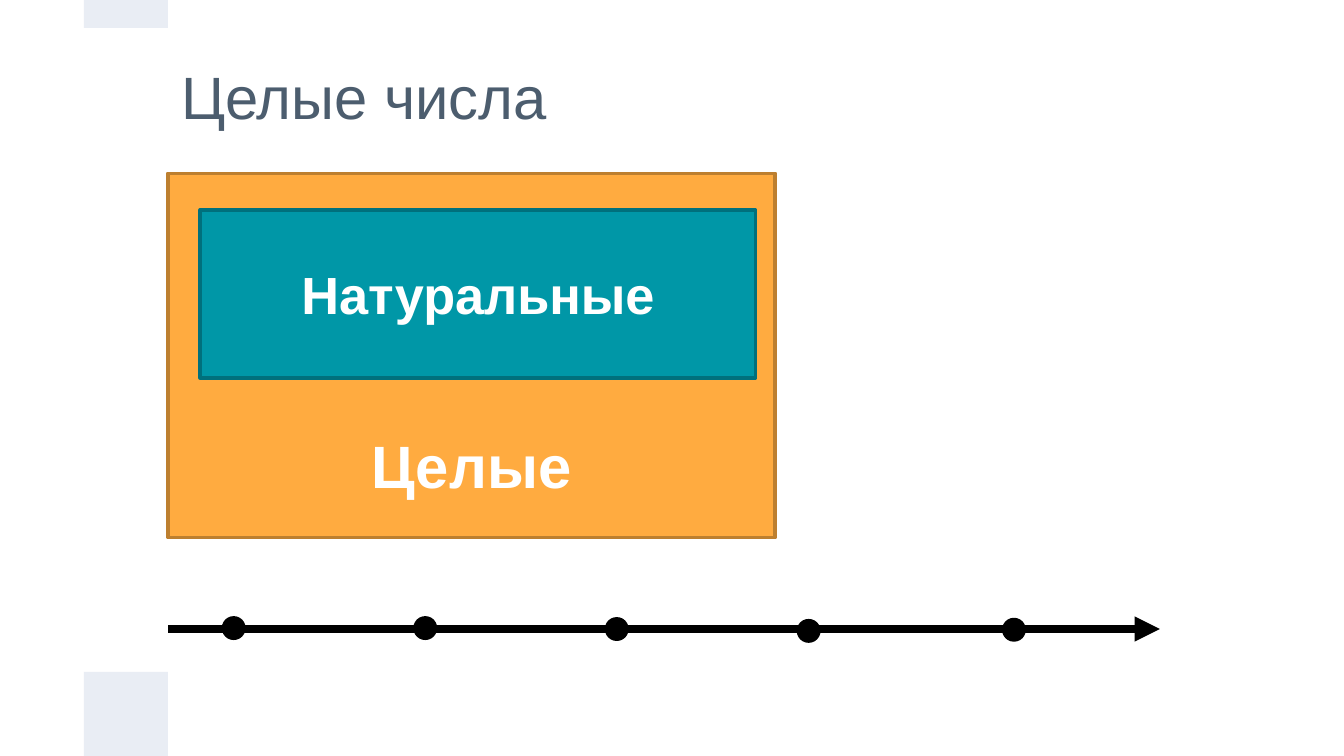
from dataclasses import dataclass

from lxml.etree import SubElement
from pptx import Presentation
from pptx.dml.color import RGBColor
from pptx.enum.shapes import MSO_CONNECTOR, MSO_SHAPE
from pptx.enum.text import MSO_ANCHOR, PP_ALIGN
from pptx.oxml.ns import qn
from pptx.util import Pt


@dataclass(frozen=True)
class Theme:
    font: str = "Arial"
    title: str = "4C5D6E"
    accent: str = "E9EDF4"
    integers: str = "FFAB40"
    integers_edge: str = "BD7F2F"
    naturals: str = "0097A7"
    naturals_edge: str = "00707C"
    label: str = "FFFFFF"
    axis: str = "000000"
    large: float = 32
    medium: float = 28
    edge_width: float = 2
    axis_width: float = 4.5


@dataclass(frozen=True)
class Area:
    left: float
    top: float
    width: float
    height: float

    def lengths(self) -> tuple:
        return Pt(self.left), Pt(self.top), Pt(self.width), Pt(self.height)


@dataclass(frozen=True)
class NumberSet:
    name: str
    area: Area
    fill: str
    edge: str
    size: float
    anchor: MSO_ANCHOR
    bottom_inset: float


@dataclass(frozen=True)
class Point:
    x: float
    y: float


THEME = Theme()
TITLE_AREA = Area(90, 22.5, 540, 57)
ACCENT_BARS = [Area(45, 0, 45, 15), Area(45, 360, 45, 45)]
NUMBER_SETS = [
    NumberSet("Целые", Area(90, 92.9, 325.3, 195.1), THEME.integers,
              THEME.integers_edge, THEME.large, MSO_ANCHOR.BOTTOM, 20),
    NumberSet("Натуральные", Area(107.3, 112.5, 297.5, 90), THEME.naturals,
              THEME.naturals_edge, THEME.medium, MSO_ANCHOR.MIDDLE, 3.6),
]
AXIS_START, AXIS_END = Point(90, 337), Point(621.4, 337)
AXIS_POINTS = [Point(125.2, 336.5), Point(227.8, 336.5), Point(330.4, 337),
               Point(433.2, 338), Point(543.2, 337.4)]
POINT_SIZE = 10.8


def add_filled(shapes, kind: MSO_SHAPE, area: Area, fill: str, edge: str = ""):
    shape = shapes.add_shape(kind, *area.lengths())
    shape.shadow.inherit = False
    shape.fill.solid()
    shape.fill.fore_color.rgb = RGBColor.from_string(fill)
    if edge:
        shape.line.color.rgb = RGBColor.from_string(edge)
        shape.line.width = Pt(THEME.edge_width)
    else:
        shape.line.fill.background()
    return shape


def write(box, text: str, size: float, color: str, anchor: MSO_ANCHOR,
          align: PP_ALIGN, bold: bool = False) -> None:
    frame = box.text_frame
    frame.word_wrap = True
    frame.vertical_anchor = anchor
    para = frame.paragraphs[0]
    para.alignment = align
    span = para.add_run()
    span.text = text
    span.font.name = THEME.font
    span.font.size = Pt(size)
    span.font.bold = bold
    span.font.color.rgb = RGBColor.from_string(color)


def add_title(shapes, text: str) -> None:
    box = shapes.add_textbox(*TITLE_AREA.lengths())
    write(box, text, THEME.large, THEME.title, MSO_ANCHOR.MIDDLE, PP_ALIGN.LEFT)


def add_number_set(shapes, number_set: NumberSet) -> None:
    box = add_filled(shapes, MSO_SHAPE.RECTANGLE, number_set.area,
                     number_set.fill, number_set.edge)
    box.text_frame.margin_bottom = Pt(number_set.bottom_inset)
    write(box, number_set.name, number_set.size, THEME.label,
          number_set.anchor, PP_ALIGN.CENTER, bold=True)


def add_axis(shapes) -> None:
    """Draw the number line with its arrowhead and points as one group."""
    parts = shapes.add_group_shape().shapes
    line = parts.add_connector(
        MSO_CONNECTOR.STRAIGHT, Pt(AXIS_START.x), Pt(AXIS_START.y),
        Pt(AXIS_END.x), Pt(AXIS_END.y))
    line.line.color.rgb = RGBColor.from_string(THEME.axis)
    line.line.width = Pt(THEME.axis_width)
    SubElement(line.line._get_or_add_ln(), qn("a:tailEnd"), type="triangle")
    SubElement(line._element.spPr, qn("a:effectLst"))
    for point in AXIS_POINTS:
        area = Area(point.x - POINT_SIZE / 2, point.y - POINT_SIZE / 2,
                    POINT_SIZE, POINT_SIZE)
        add_filled(parts, MSO_SHAPE.OVAL, area, THEME.axis, THEME.axis)


def main() -> None:
    deck = Presentation()
    deck.slide_width, deck.slide_height = Pt(720), Pt(405)
    page = deck.slides.add_slide(deck.slide_layouts[6])
    for area in ACCENT_BARS:
        add_filled(page.shapes, MSO_SHAPE.RECTANGLE, area, THEME.accent)
    add_title(page.shapes, "Целые числа")
    for number_set in NUMBER_SETS:
        add_number_set(page.shapes, number_set)
    add_axis(page.shapes)
    deck.save("out.pptx")


if __name__ == "__main__":
    main()
